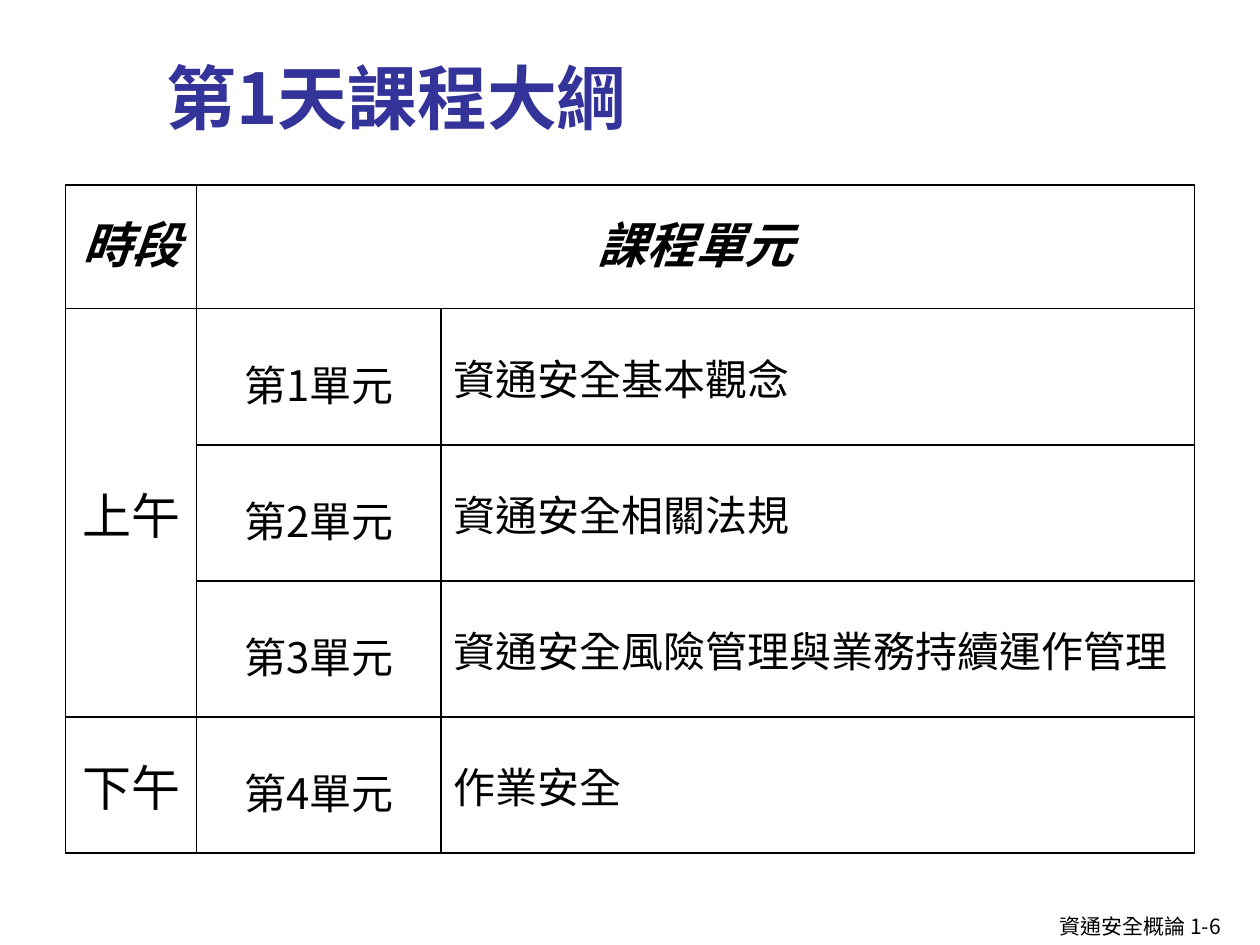
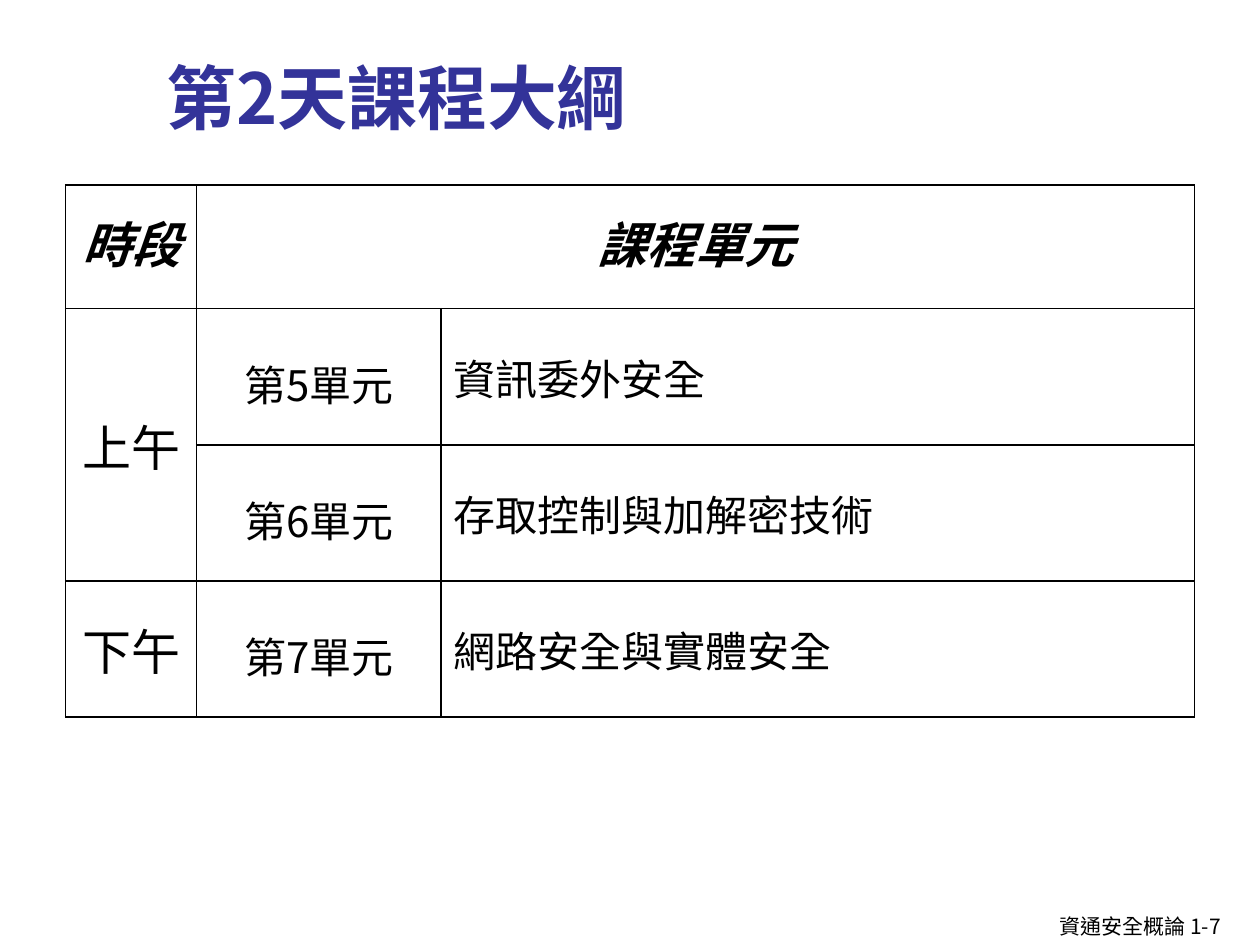
from dataclasses import dataclass

import pptx
import pptx.dml.color
import pptx.enum.text
import pptx.oxml
import pptx.oxml.ns
import pptx.util
from lxml import etree

Inches, Pt = pptx.util.Inches, pptx.util.Pt
RGBColor = pptx.dml.color.RGBColor
PP_ALIGN = pptx.enum.text.PP_ALIGN
ANCHOR = pptx.enum.text.MSO_ANCHOR
qn = pptx.oxml.ns.qn


@dataclass(frozen=True)
class Theme:
    ink: str = "000000"
    title_ink: str = "333399"
    title_font: str = "Noto Sans CJK TC"
    header_font: str = "Arial"
    body_font: str = "Noto Sans CJK SC"
    title_size: int = 40
    period_size: int = 28
    unit_size: int = 24
    footer_size: int = 12
    rule_width: int = 1


theme = Theme()
COLUMNS = [1.04, 1.94, 5.98]
HEADER_ROW, UNIT_ROW = 0.98, 1.08
TABLE_LEFT, TABLE_TOP = 0.52, 1.47

# Each day: title, footer, then periods with their units
days = [
    ("第1天課程大綱", "資通安全概論 1-6", [
        ("上午", [("第1單元", "資通安全基本觀念"),
                ("第2單元", "資通安全相關法規"),
                ("第3單元", "資通安全風險管理與業務持續運作管理")]),
        ("下午", [("第4單元", "作業安全")]),
    ]),
    ("第2天課程大綱", "資通安全概論 1-7", [
        ("上午", [("第5單元", "資訊委外安全"),
                ("第6單元", "存取控制與加解密技術")]),
        ("下午", [("第7單元", "網路安全與實體安全")]),
    ]),
]


def write(frame, text, size, font=theme.body_font, color=theme.ink, bold=False,
          italic=False, align=PP_ALIGN.LEFT, spacing=None, after=None):
    """Fill a text frame with one formatted paragraph."""
    paragraph = frame.paragraphs[0]
    paragraph.alignment = align
    paragraph.line_spacing = spacing
    paragraph.space_after = after
    run = paragraph.add_run()
    run.text = text
    run.font.size = Pt(size)
    run.font.name = font
    run.font.bold = bold
    run.font.italic = italic
    run.font.color.rgb = RGBColor.from_string(color)
    properties = run._r.get_or_add_rPr()
    properties.set("lang", "zh-TW")
    east_asian = etree.SubElement(properties, qn("a:ea"))
    east_asian.set("typeface", font)


def rule_cell(cell):
    """Draw the four borders of a cell and leave it unfilled."""
    cell.fill.background()
    properties = cell._tc.get_or_add_tcPr()
    for position, side in enumerate(("a:lnL", "a:lnR", "a:lnT", "a:lnB")):
        border = etree.Element(qn(side), w=str(Pt(theme.rule_width)))
        fill = etree.SubElement(border, qn("a:solidFill"))
        etree.SubElement(fill, qn("a:srgbClr"), val=theme.ink)
        properties.insert(position, border)


deck = pptx.Presentation()
deck.slide_width, deck.slide_height = Inches(10), Inches(7.5)
blank = deck.slide_layouts[6]

for title, footer, periods in days:
    slide = deck.slides.add_slide(blank)

    page_mark = slide.shapes.add_textbox(
        Inches(8.31), Inches(7.2), Inches(1.69), Inches(0.3)).text_frame
    page_mark.word_wrap = False
    page_mark.auto_size = pptx.enum.text.MSO_AUTO_SIZE.SHAPE_TO_FIT_TEXT
    write(page_mark, footer, theme.footer_size)

    heading = slide.shapes.add_textbox(
        Inches(1.22), Inches(0.13), Inches(8.16), Inches(1.02)).text_frame
    heading.word_wrap = True
    heading.vertical_anchor = ANCHOR.BOTTOM
    write(heading, title, theme.title_size, font=theme.title_font,
          color=theme.title_ink, bold=True)

    unit_count = sum(len(units) for _, units in periods)
    heights = [HEADER_ROW] + [UNIT_ROW] * unit_count
    outline = slide.shapes.add_table(
        len(heights), len(COLUMNS), Inches(TABLE_LEFT), Inches(TABLE_TOP),
        Inches(sum(COLUMNS)), Inches(sum(heights))).table
    outline.first_row = outline.horz_banding = False
    for column, width in zip(outline.columns, COLUMNS):
        column.width = Inches(width)
    for row, height in zip(outline.rows, heights):
        row.height = Inches(height)
    for cell in outline.iter_cells():
        rule_cell(cell)
        cell.vertical_anchor = ANCHOR.MIDDLE

    outline.cell(0, 1).merge(outline.cell(0, 2))
    for column, label in enumerate(("時段", "課程單元")):
        write(outline.cell(0, column).text_frame, label, theme.period_size,
              font=theme.header_font, bold=True, italic=True,
              align=PP_ALIGN.CENTER)

    first = 1
    for period, units in periods:
        period_cell = outline.cell(first, 0)
        if len(units) > 1:
            period_cell.merge(outline.cell(first + len(units) - 1, 0))
        write(period_cell.text_frame, period, theme.period_size,
              align=PP_ALIGN.CENTER)
        for row, (unit, topic) in enumerate(units, first):
            unit_cell = outline.cell(row, 1)
            unit_cell.margin_left = unit_cell.margin_right = Inches(0.07)
            unit_cell.margin_top = unit_cell.margin_bottom = 0
            write(unit_cell.text_frame, unit, theme.unit_size,
                  align=PP_ALIGN.CENTER, spacing=1.2, after=Pt(2))
            write(outline.cell(row, 2).text_frame, topic, theme.unit_size)
        first += len(units)

deck.save("out.pptx")
